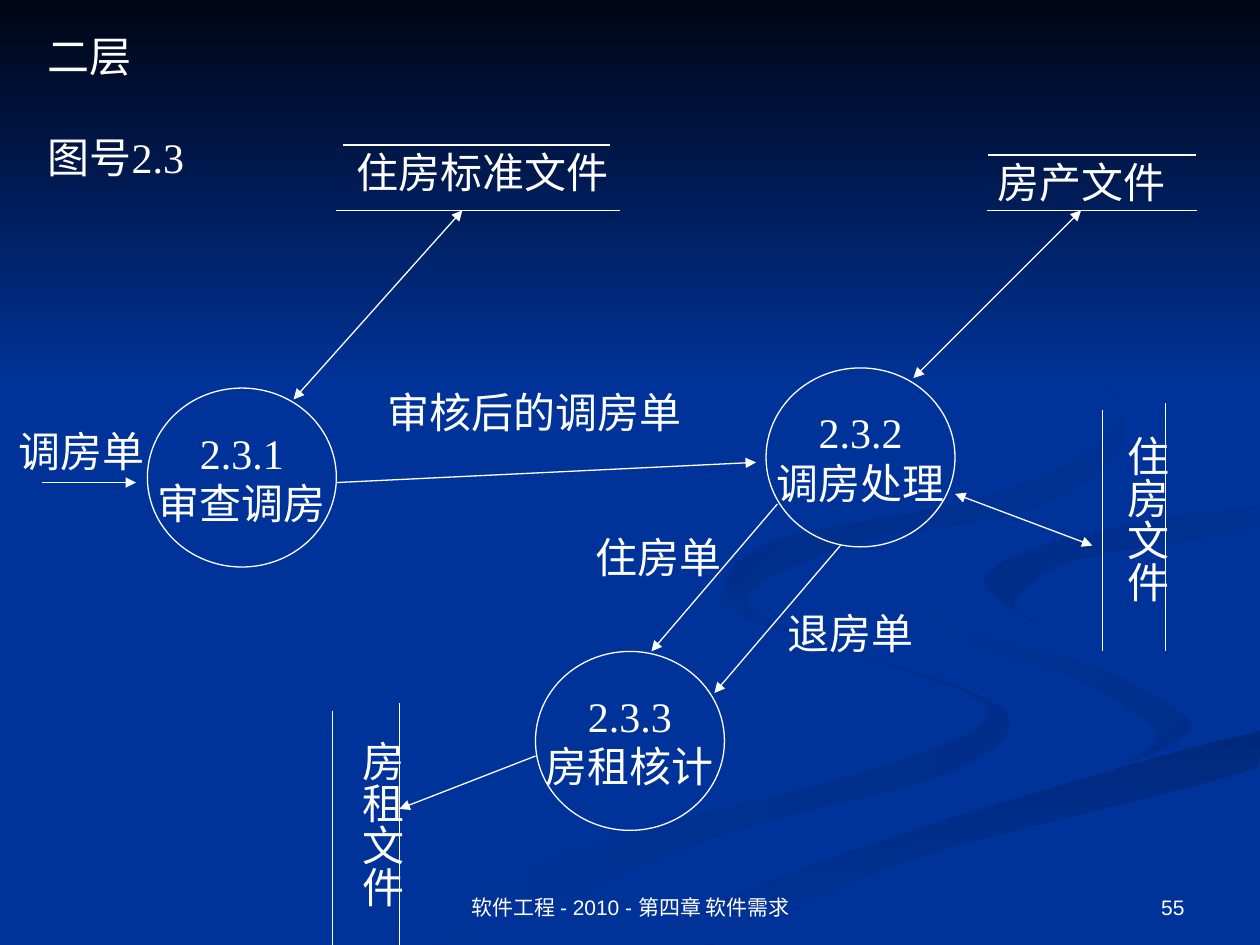
from dataclasses import dataclass

from lxml import etree
from pptx import Presentation
from pptx.dml.color import RGBColor
from pptx.enum.shapes import MSO_CONNECTOR, MSO_SHAPE
from pptx.enum.text import MSO_ANCHOR, MSO_AUTO_SIZE, PP_ALIGN
from pptx.oxml.ns import qn
from pptx.util import Inches, Pt

STRAIGHT, OVAL, RECTANGLE = MSO_CONNECTOR.STRAIGHT, MSO_SHAPE.OVAL, MSO_SHAPE.RECTANGLE
LEFT, CENTER, RIGHT = PP_ALIGN.LEFT, PP_ALIGN.CENTER, PP_ALIGN.RIGHT
TOP, MIDDLE, BOTTOM = MSO_ANCHOR.TOP, MSO_ANCHOR.MIDDLE, MSO_ANCHOR.BOTTOM
GROW, FIXED = MSO_AUTO_SIZE.SHAPE_TO_FIT_TEXT, MSO_AUTO_SIZE.NONE

COLORS = {"page": "003399", "ink": "FFFFFF", "night": "000514", "deep": "00297C",
          "shade": "002E8A", "dusk": "002C85", "curl": "002B81"}
DIAGRAM_FONT = {"name": "Times New Roman", "size": Pt(24)}
FOOTER_FONT = {"name": "Arial", "size": Pt(12)}
LINE_WIDTH = Pt(0.75)
PAGE_WIDTH, PAGE_HEIGHT, SKY_HEIGHT = 10, 7.5, 3.08
PROCESS_WIDTH, PROCESS_HEIGHT = 1.5, 1.42
CURVE_STEPS = 5


@dataclass
class Ribbon:
    start_color: str
    end_color: str
    angle: int  # clockwise degrees
    points: list[tuple[float, float]]


@dataclass
class Process:
    number: str
    name: str
    left: float
    top: float


@dataclass
class Line:
    start: tuple[float, float]
    end: tuple[float, float]
    ends: tuple[str, ...] = ()


@dataclass
class Label:
    text: str
    left: float
    top: float
    width: float
    height: float = 0.5
    vertical: bool = False


TO = ("tailEnd",)
BOTH = ("headEnd", "tailEnd")

RIBBONS = [
    Ribbon("shade", "page", 180, [
        (7.81, 5.53), (6.82, 5.19), (5.94, 4.85), (5.75, 4.59), (5.86, 4.87), (6.97, 5.25),
        (7.86, 5.66), (6.84, 6.13), (4.58, 6.74), (3, 7.49), (3.61, 7.49), (5.64, 6.65),
        (7.4, 6.18), (8, 5.81)]),
    Ribbon("shade", "page", 225, [
        (9.43, 5.7), (8.7, 5.3), (7.58, 4.98), (7.24, 4.64), (7.55, 5.05), (8.54, 5.39),
        (9.18, 5.81), (8.94, 6.05), (9.32, 5.89)]),
    Ribbon("deep", "page", 90, [
        (5.03, 7.49), (5.71, 7.49), (7.22, 6.82), (9.98, 6.09), (9.98, 5.81), (7.64, 6.47),
        (6.3, 6.93)]),
    Ribbon("page", "dusk", 225, [
        (7.81, 4.6), (8.26, 4.96), (8.05, 4.76), (8.59, 4.43), (9.98, 4.2), (9.98, 4.02),
        (8.49, 4.27)]),
    Ribbon("page", "curl", 225, [
        (6.83, 4.3), (8.25, 4.02), (8.94, 3.44), (8.43, 2.75), (7.62, 2.33), (8.46, 2.79),
        (8.89, 3.35), (7.91, 3.92), (6.25, 4.26), (5.77, 4.62), (6.22, 5), (5.93, 4.7)]),
]
PROCESSES = [
    Process("2.3.1", "审查调房", 1.17, 3.08),
    Process("2.3.3", "房租核计", 4.25, 5.17),
    Process("2.3.2", "调房处理", 6.08, 2.92),
]
STORE_EDGES = [
    Line((2.67, 1.67), (4.92, 1.67)), Line((2.72, 1.15), (4.84, 1.15)),
    Line((7.83, 1.67), (9.5, 1.67)), Line((7.84, 1.23), (9.49, 1.23)),
    Line((8.75, 3.25), (8.75, 5.17)), Line((9.25, 3.2), (9.25, 5.17)),
    Line((3.17, 5.58), (3.17, 7.5)), Line((2.64, 5.64), (2.64, 7.5)),
]
FLOWS = [
    Line((0.33, 3.83), (1.08, 3.83), TO), Line((2.67, 3.83), (6, 3.67), TO),
    Line((7.25, 3), (8.58, 1.67), BOTH), Line((2.33, 3.17), (3.67, 1.67), BOTH),
    Line((7.58, 3.92), (8.67, 4.33), BOTH), Line((4.25, 6), (3.17, 6.42), TO),
    Line((6.17, 4), (5.17, 5.17), TO), Line((6.67, 4.33), (5.67, 5.5), TO),
]
LABELS = [
    Label("住房标准文件", 2.73, 1.11, 2.2),
    Label("房产文件", 7.82, 1.19, 1.53),
    Label("住房文件", 8.75, 3.36, 0.6, 1.44, vertical=True),
    Label("房租文件", 2.68, 5.78, 0.6, 1.44, vertical=True),
    Label("审核后的调房单", 2.98, 3.02, 2.53),
    Label("住房单", 4.63, 4.17, 1.2),
    Label("退房单", 6.15, 4.77, 1.2),
    Label("二层\n图号2.3", 0.28, 0.19, 1.36, 1.3),
    Label("调房单", 0.05, 3.33, 1.2),
]
FOOTERS = [
    (Label("软件工程 - 2010 - 第四章 软件需求", 3.42, 6.83, 3.17, 0.52), CENTER),
    (Label("55", 7.17, 6.83, 2.33, 0.52), RIGHT),
]


def rgb(name: str) -> RGBColor:
    return RGBColor.from_string(COLORS[name])


def write(box, text: str, font: dict, align=LEFT, gap=Pt(0), **frame_format) -> None:
    """Fill a shape with one paragraph per line, gap being the space between them."""
    frame = box.text_frame
    for key, value in frame_format.items():
        setattr(frame, key, value)
    for index, line in enumerate(text.split("\n")):
        para = frame.add_paragraph() if index else frame.paragraphs[0]
        para.alignment = align
        if index:
            para.space_before = gap
        span = para.add_run()
        span.text = line
        for key, value in font.items():
            setattr(span.font, key, value)
        span.font.color.rgb = rgb("ink")


def smooth_outline(points: list[tuple[float, float]]) -> list[tuple[int, int]]:
    """Round a closed outline with a Catmull-Rom curve kept inside the page."""
    outline = []
    for index, here in enumerate(points):
        before, after = points[index - 1], points[(index + 1) % len(points)]
        beyond = points[(index + 2) % len(points)]
        for step in range(CURVE_STEPS):
            t = step / CURVE_STEPS
            x, y = (b + t * (c - a + t * (2 * a - 5 * b + 4 * c - d
                                          + t * (3 * b - a - 3 * c + d))) / 2
                    for a, b, c, d in zip(before, here, after, beyond))
            outline.append((Inches(min(x, PAGE_WIDTH)), Inches(min(y, PAGE_HEIGHT))))
    return outline


def paint_gradient(shape, start_color: str, end_color: str, angle: int) -> None:
    shape.shadow.inherit = False
    shape.line.fill.background()
    shape.fill.gradient()
    shape.fill.gradient_angle = (360 - angle) % 360
    for stop, color in zip(shape.fill.gradient_stops, (start_color, end_color)):
        stop.color.rgb = rgb(color)


def draw_ribbon(page, ribbon: Ribbon) -> None:
    first, *rest = smooth_outline(ribbon.points)
    builder = page.shapes.build_freeform(*first, scale=1.0)
    builder.add_line_segments(rest, close=True)
    paint_gradient(builder.convert_to_shape(), ribbon.start_color, ribbon.end_color, ribbon.angle)


def draw_process(page, process: Process) -> None:
    circle = page.shapes.add_shape(OVAL, Inches(process.left), Inches(process.top),
                                   Inches(PROCESS_WIDTH), Inches(PROCESS_HEIGHT))
    circle.shadow.inherit = False
    circle.fill.background()
    circle.line.color.rgb = rgb("ink")
    circle.line.width = LINE_WIDTH
    write(circle, f"{process.number}\n{process.name}", DIAGRAM_FONT, CENTER,
          word_wrap=False, vertical_anchor=MIDDLE)


def draw_line(page, line: Line) -> None:
    connector = page.shapes.add_connector(STRAIGHT, *map(Inches, line.start + line.end))
    connector.line.color.rgb = rgb("ink")
    connector.line.width = LINE_WIDTH
    outline = connector.element.spPr.find(qn("a:ln"))
    for end in line.ends:
        etree.SubElement(outline, qn(f"a:{end}"), type="triangle")
    etree.SubElement(connector.element.spPr, qn("a:effectLst"))


def draw_label(page, label: Label, font: dict, align=LEFT, **frame_format) -> None:
    box = page.shapes.add_textbox(*map(Inches, (label.left, label.top, label.width, label.height)))
    if label.vertical:
        box.element.txBody.bodyPr.set("vert", "eaVert")
        frame_format |= {"margin_left": Inches(0.05), "margin_right": Inches(0.05),
                         "margin_top": Inches(0.1), "margin_bottom": Inches(0.1)}
    write(box, label.text, font, align, gap=Pt(29), **frame_format)


def main() -> None:
    deck = Presentation()
    deck.slide_width, deck.slide_height = Inches(PAGE_WIDTH), Inches(PAGE_HEIGHT)
    page = deck.slides.add_slide(deck.slide_layouts[6])
    page.background.fill.solid()
    page.background.fill.fore_color.rgb = rgb("page")
    for ribbon in RIBBONS:
        draw_ribbon(page, ribbon)
    sky = page.shapes.add_shape(RECTANGLE, 0, 0, deck.slide_width, Inches(SKY_HEIGHT))
    paint_gradient(sky, "night", "page", 90)
    for process in PROCESSES:
        draw_process(page, process)
    for line in STORE_EDGES + FLOWS:
        draw_line(page, line)
    for label in LABELS:
        draw_label(page, label, DIAGRAM_FONT, word_wrap=False, auto_size=GROW, vertical_anchor=TOP)
    for label, align in FOOTERS:
        draw_label(page, label, FOOTER_FONT, align, word_wrap=True, auto_size=FIXED,
                   vertical_anchor=BOTTOM)
    deck.save("out.pptx")


if __name__ == "__main__":
    main()
